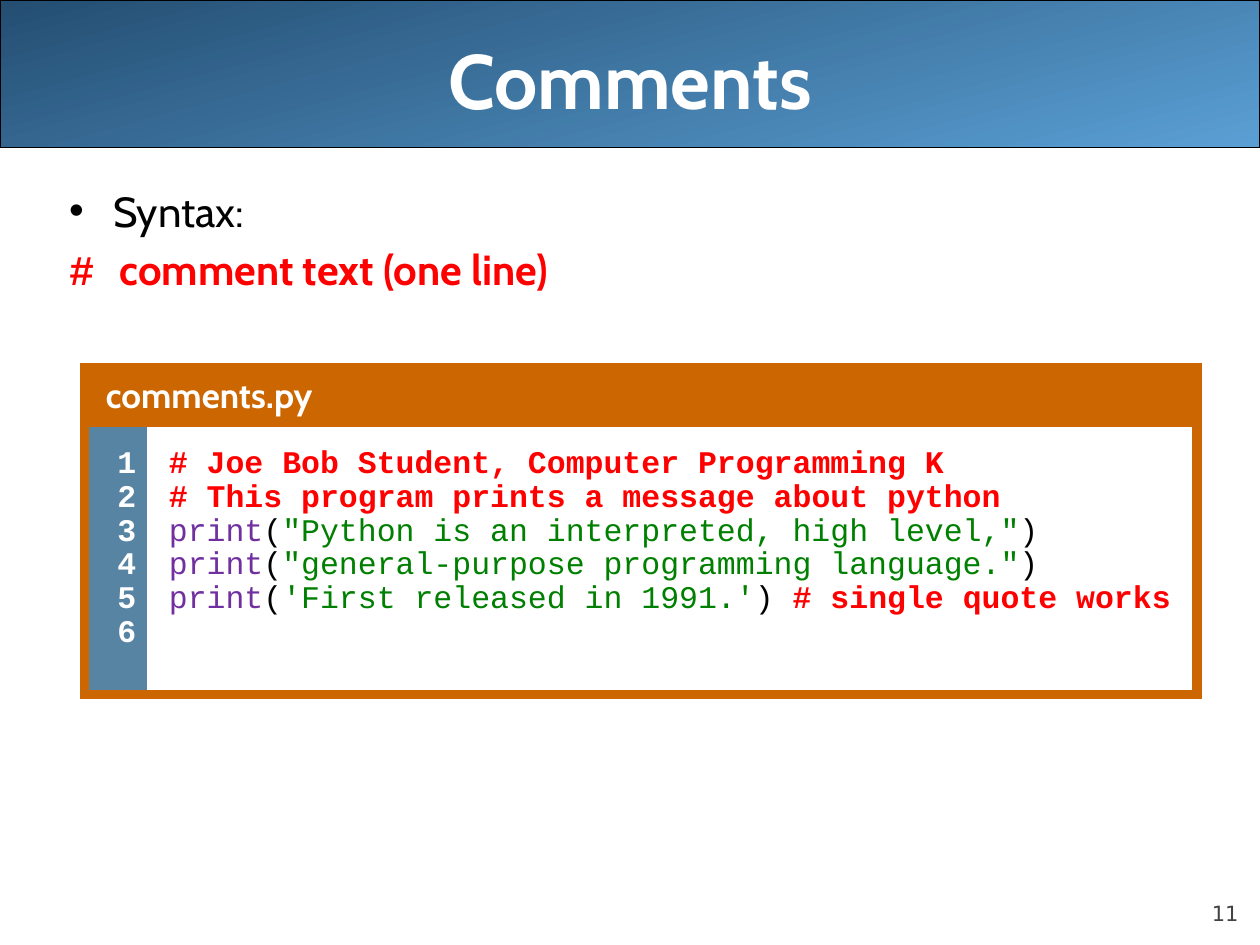
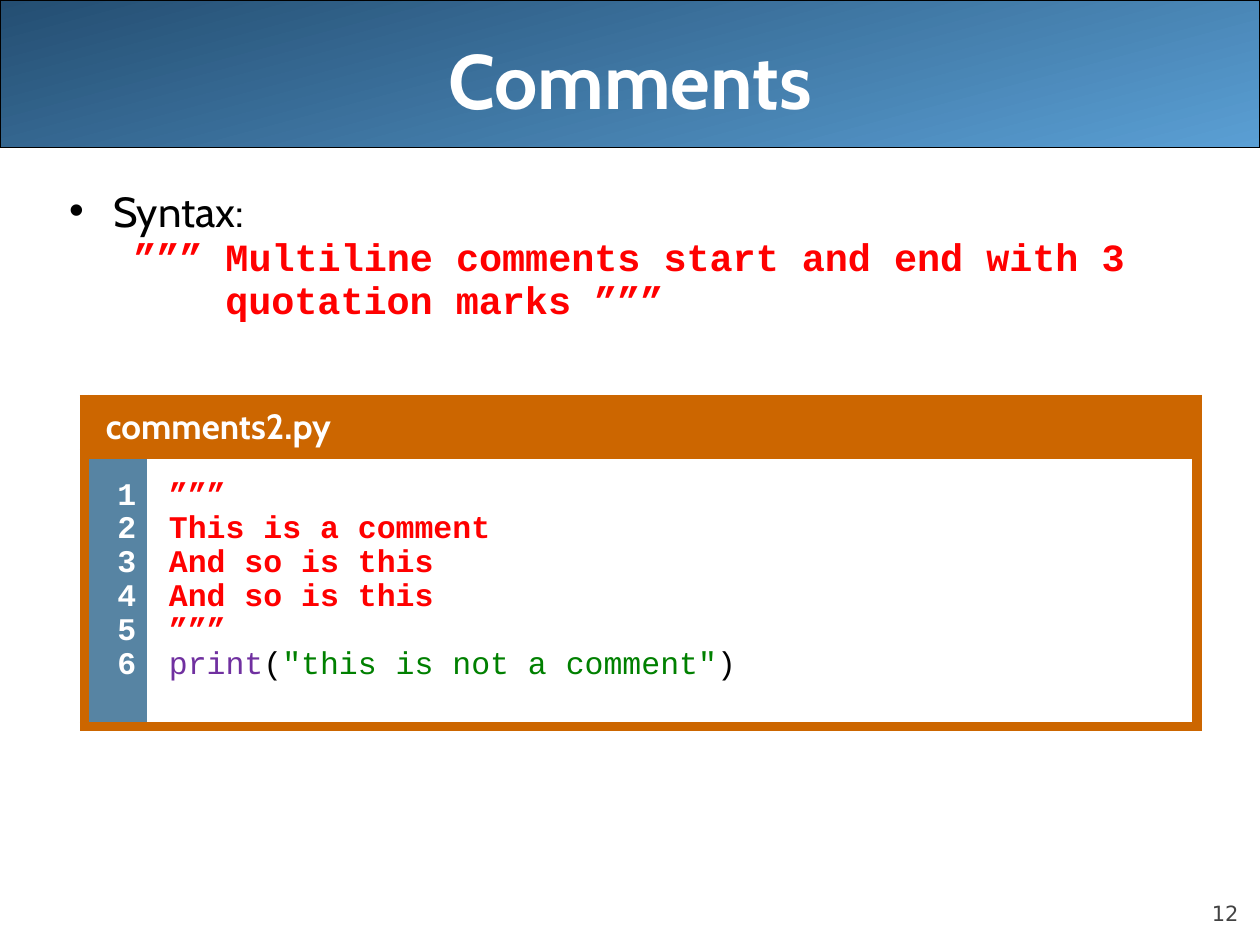
from lxml import etree
from pptx import Presentation
from pptx import util as u
from pptx.dml.color import RGBColor
from pptx.enum import shapes, text
from pptx.oxml import ns

NAVY = RGBColor(0x24, 0x4E, 0x72)
SKY = RGBColor(0x5A, 0x9F, 0xD4)
STEEL = RGBColor(0x57, 0x84, 0xA3)
ORANGE = RGBColor(0xCC, 0x66, 0x00)
RED = RGBColor(0xFF, 0x00, 0x00)
PURPLE = RGBColor(0x70, 0x30, 0xA0)
GREEN = RGBColor(0x00, 0x80, 0x00)
GREY = RGBColor(0x42, 0x42, 0x42)
BLACK = RGBColor(0x00, 0x00, 0x00)
WHITE = RGBColor(0xFF, 0xFF, 0xFF)
SANS, MONO, PLAIN = "Cabin", "Courier New", "DejaVu Sans"
LEFT, RIGHT, MID = text.PP_ALIGN.LEFT, text.PP_ALIGN.RIGHT, text.PP_ALIGN.CENTER


def write(frame, lines, size=24, font=SANS, color=BLACK, bold=False, align=LEFT,
          left=0, hang=0, gap=None, pitch=None, bullet=None, more=False):
    """Each line is a string or a list of (text, run format) pairs."""
    for i, line in enumerate(lines):
        para = frame.add_paragraph() if more or i else frame.paragraphs[0]
        para.alignment = align
        para.space_before = u.Pt(size * 0.2 if gap is None else gap)
        if pitch:
            para.line_spacing = pitch
        props = para._p.get_or_add_pPr()
        props.set("marL", str(u.Inches(left)))
        props.set("indent", str(u.Inches(hang)))
        if bullet:
            etree.SubElement(props, ns.qn("a:buFont")).set("typeface", "Arial")
            etree.SubElement(props, ns.qn("a:buChar")).set("char", bullet)
        for words, style in [(line, {})] if isinstance(line, str) else line:
            run = para.add_run()
            run.text = words
            run.font.size = u.Pt(size)
            run.font.name = style.get("font", font)
            run.font.bold = style.get("bold", bold)
            run.font.color.rgb = style.get("color", color)


def note(words):
    return (words, {"color": RED, "bold": True})


def call(words):
    return [("print", {"color": PURPLE}), ("(", {}), (words, {"color": GREEN}), (")", {})]


class Deck:
    def __init__(self):
        self.prs = Presentation()
        self.prs.slide_width = u.Inches(10)
        self.prs.slide_height = u.Inches(7.5)

    def start(self, title, page):
        self.slide = self.prs.slides.add_slide(self.prs.slide_layouts[5])
        head = self.slide.shapes.title
        head.left, head.top = u.Inches(0.5), u.Inches(0)
        head.width, head.height = u.Inches(9), u.Inches(1.25)
        head.text_frame.auto_size = text.MSO_AUTO_SIZE.NONE
        head.text_frame.vertical_anchor = text.MSO_ANCHOR.MIDDLE
        write(head.text_frame, [title], size=44, color=WHITE, bold=True, align=MID, gap=0)
        head.element.addprevious(self.band().element)
        foot = self.box(9, 6.95, 0.83, 0.4, inset=0)
        foot.vertical_anchor = text.MSO_ANCHOR.BOTTOM
        write(foot, [str(page)], size=12, font=PLAIN, color=GREY, align=RIGHT, gap=5)

    def band(self):
        band = self.slide.shapes.add_shape(
            shapes.MSO_SHAPE.ROUNDED_RECTANGLE, 0, 0, u.Inches(10), u.Inches(1.17))
        band.adjustments[0] = 0
        band.shadow.inherit = False
        band.fill.gradient()
        band.fill.gradient_angle = 285
        for stop, color in zip(band.fill.gradient_stops, (NAVY, SKY)):
            stop.color.rgb = color
        band.line.color.rgb = BLACK
        band.line.width = u.Pt(0.75)
        return band

    def box(self, left, top, width, height, inset=None):
        frame = self.slide.shapes.add_textbox(
            u.Inches(left), u.Inches(top), u.Inches(width), u.Inches(height)).text_frame
        frame.word_wrap = True
        if inset is not None:
            frame.margin_left = frame.margin_right = u.Inches(inset)
            frame.margin_top = frame.margin_bottom = u.Inches(inset)
        return frame

    def body(self):
        frame = self.box(0.33, 1.42, 9.5, 5.42)
        write(frame, ["Syntax:"], left=0.47, hang=-0.35, bullet="•")
        return frame

    def cell(self, cell, fill, sides, right, pad):
        cell.fill.solid()
        cell.fill.fore_color.rgb = fill
        cell.margin_left, cell.margin_right = u.Inches(0.05), u.Inches(right)
        cell.margin_top = cell.margin_bottom = u.Inches(pad)
        props = cell._tc.get_or_add_tcPr()
        for i, side in enumerate("LRTB"):
            line = etree.Element(ns.qn("a:ln" + side))
            props.insert(i, line)
            if side in sides:
                line.set("w", str(u.Pt(6)))
                paint = etree.SubElement(line, ns.qn("a:solidFill"))
                etree.SubElement(paint, ns.qn("a:srgbClr")).set("val", str(ORANGE))
            else:
                etree.SubElement(line, ns.qn("a:noFill"))

    def code(self, top, name, lines):
        grid = self.slide.shapes.add_table(
            2, 2, u.Inches(0.67), u.Inches(top), u.Inches(8.83), u.Inches(2.58)).table
        grid.first_row = grid.horz_banding = False
        for col, width in zip(grid.columns, (0.5, 8.33)):
            col.width = u.Inches(width)
        for row, height in zip(grid.rows, (0.42, 2.16)):
            row.height = u.Inches(height)
        head, tail = grid.cell(0, 0), grid.cell(0, 1)
        head.merge(tail)
        for part in (head, tail):
            self.cell(part, ORANGE, "LRTB", 0.05, 0.05)
        nums, main = grid.cell(1, 0), grid.cell(1, 1)
        self.cell(nums, STEEL, "LTB", 0.09, 0.23)
        self.cell(main, WHITE, "RTB", 0.18, 0.23)
        write(head.text_frame, [name], size=20, color=WHITE, bold=True, left=0.12)
        mono = dict(size=18, font=MONO, left=0.12, pitch=0.77)
        write(nums.text_frame, [str(n) for n in range(1, 7)],
              color=WHITE, bold=True, align=RIGHT, **mono)
        write(main.text_frame, lines, **mono)


def main():
    deck = Deck()

    deck.start("Comments", 11)
    write(deck.body(), [[("# ", {"font": MONO}), ("comment text (one line)", {})]],
          color=RED, bold=True, left=0.12, more=True)
    deck.code(2.92, "comments.py", [
        [note("# Joe Bob Student, Computer Programming K")],
        [note("# This program prints a message about python")],
        call('"Python is an interpreted, high level,"'),
        call('"general-purpose programming language."'),
        call("'First released in 1991.'") + [note(" # single quote works")],
    ])

    deck.start("Comments", 12)
    frame = deck.body()
    for left, line in ((0.63, "””” Multiline comments start and end with 3"),
                       (1.36, "quotation marks ”””")):
        write(frame, [line], size=22, font=MONO, color=RED, bold=True,
              left=left, pitch=0.77, more=True)
    remarks = ["”””", "This is a comment", "And so is this", "And so is this", "”””"]
    deck.code(3.17, "comments2.py",
              [[note(line)] for line in remarks] + [call('"this is not a comment"')])

    deck.prs.save("out.pptx")


if __name__ == "__main__":
    main()
